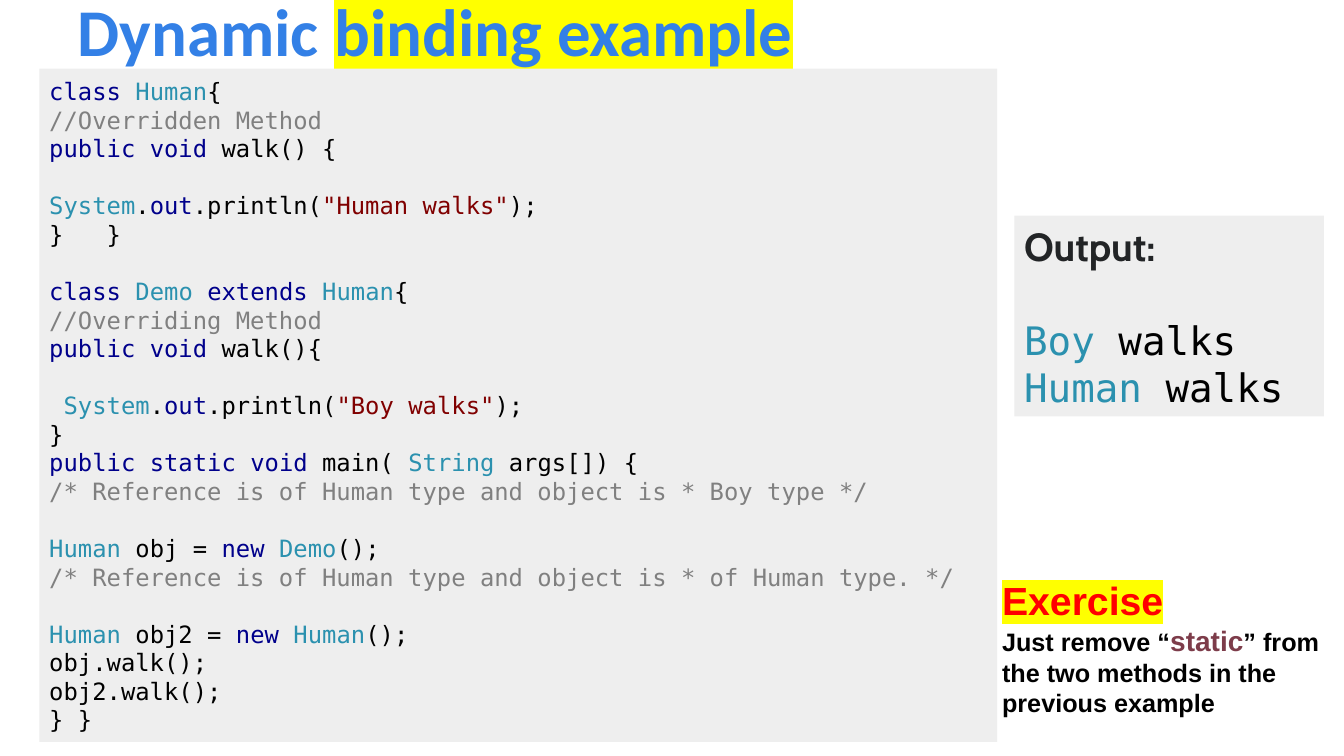
from itertools import groupby
from lxml import etree
from pptx import Presentation, util as u
from pptx.dml.color import RGBColor
from pptx.enum import shapes, text
from pptx.oxml import ns

CELL = 0.1
COLUMNS, ROWS = 133.3, 75
MONO = "DejaVu Sans Mono"
PANEL, BLACK, YELLOW = "EEEEEE", "000000", "FFFF00"
KEYWORD, TYPE, STRING, COMMENT = "00008B", "2B91AF", "800000", "808080"
KEYWORDS = {"class", "public", "static", "void", "extends", "new", "out"}
TYPES = {"Human", "Demo", "System", "String", "Boy"}
CODE = """class Human{
//Overridden Method
public void walk() {

System.out.println("Human walks");
}   }

class Demo extends Human{
//Overriding Method
public void walk(){

 System.out.println("Boy walks");
}
public static void main( String args[]) {
/* Reference is of Human type and object is * Boy type */

Human obj = new Demo();
/* Reference is of Human type and object is * of Human type. */

Human obj2 = new Human();
obj.walk();
obj2.walk();
} }"""


def paint(target, value):
    """Give a colour format the colour of a hex string."""
    target.rgb = RGBColor.from_string(value)


def grid(*cells):
    """Turn counts of grid columns and rows into lengths."""
    return [u.Inches(cell * CELL) for cell in cells]


def add_span(para, words, color, highlight=None, **values):
    """Add one formatted run to a paragraph."""
    span = para.add_run()
    span.text = words
    for name, value in values.items():
        setattr(span.font, name, value)
    paint(span.font.color, color)
    if highlight:
        mark = etree.Element(ns.qn("a:highlight"))
        etree.SubElement(mark, ns.qn("a:srgbClr"), val=highlight)
        span.font.fill._xPr.find(ns.qn("a:solidFill")).addnext(mark)


def add_para(frame, gap=0):
    """Return the empty first paragraph or a new one below a gap."""
    para = frame.paragraphs[0]
    if para.runs:
        para = frame.add_paragraph()
        para.space_before = u.Pt(gap)
    para.alignment = text.PP_ALIGN.LEFT
    return para


def format_frame(frame, anchor, fit):
    """Set wrapping, anchor and fit of a text frame."""
    values = {"word_wrap": True, "vertical_anchor": anchor, "auto_size": fit}
    for name, value in values.items():
        setattr(frame, name, value)
    return frame


def add_panel(page, box):
    """Add a grey panel and return its text frame."""
    panel = page.shapes.add_shape(shapes.MSO_SHAPE.RECTANGLE, *grid(*box))
    panel.shadow.inherit = False
    panel.fill.solid()
    paint(panel.fill.fore_color, PANEL)
    panel.line.fill.background()
    return format_frame(panel.text_frame, text.MSO_ANCHOR.MIDDLE,
                        text.MSO_AUTO_SIZE.SHAPE_TO_FIT_TEXT)


def color_line(line):
    """Yield the pieces of a code line with their colours."""
    if line.startswith("/"):
        yield line, COMMENT
        return
    for index, part in enumerate(line.split('"')):
        if index % 2:
            yield f'"{part}"', STRING
            continue
        for _, group in groupby(part, str.isalnum):
            word = "".join(group)
            yield word, (KEYWORD if word in KEYWORDS else
                         TYPE if word in TYPES else BLACK)


def add_code(frame, code, size):
    """Write coloured code, with a gap of one line for each empty line."""
    gap = 0
    for line in code.splitlines():
        if not line:
            gap = size * 1.2
            continue
        para = add_para(frame, gap)
        gap = 0
        for words, color in color_line(line):
            add_span(para, words, color, name=MONO, size=u.Pt(size), bold=False)


def build_title(page, box):
    """Place the title and highlight its second part."""
    title = page.shapes.title
    title.left, title.top, title.width, title.height = grid(*box)
    frame = format_frame(title.text_frame, text.MSO_ANCHOR.MIDDLE,
                         text.MSO_AUTO_SIZE.NONE)
    para = add_para(frame)
    for words, highlight in (("Dynamic ", None), ("binding example", YELLOW)):
        add_span(para, words, "3380E6", highlight,
                 name="Calibri", size=u.Pt(47.7), bold=True)


def build_listing(page, box):
    """Place the code listing."""
    add_code(add_panel(page, box), CODE, 17)


def build_output(page, box):
    """Place the program output under its heading."""
    frame = add_panel(page, box)
    add_span(add_para(frame), "Output:", "222426",
             name="Cabin", size=u.Pt(28), bold=True)
    add_code(frame, "\nBoy walks\nHuman walks", 28)


def build_exercise(page, box):
    """Place the exercise heading and its task."""
    note = page.shapes.add_textbox(*grid(*box))
    frame = format_frame(note.text_frame, text.MSO_ANCHOR.TOP,
                         text.MSO_AUTO_SIZE.SHAPE_TO_FIT_TEXT)
    values = {"name": "Arial", "bold": True}
    add_span(add_para(frame), "Exercise", "FF0000", YELLOW,
             size=u.Pt(28), **values)
    task = add_para(frame)
    for words, color, size in (
            ("Just remove “", BLACK, 18), ("static", "7D3C4A", 20),
            ("” from the two methods in the previous example", BLACK, 18)):
        add_span(task, words, color, size=u.Pt(size), **values)


def main():
    """Build and save the deck."""
    deck = Presentation()
    deck.slide_width, deck.slide_height = grid(COLUMNS, ROWS)
    page = deck.slides.add_slide(deck.slide_layouts.get_by_name("Title Only"))
    build_title(page, (6.7, 1, 120, 4))
    build_listing(page, (3.9, 6.8, 95, 66.8))
    build_output(page, (100.6, 21.4, 30.7, 19.9))
    build_exercise(page, (98.4, 56.7, 36.5, 15.1))
    deck.save("out.pptx")


if __name__ == "__main__":
    main()
